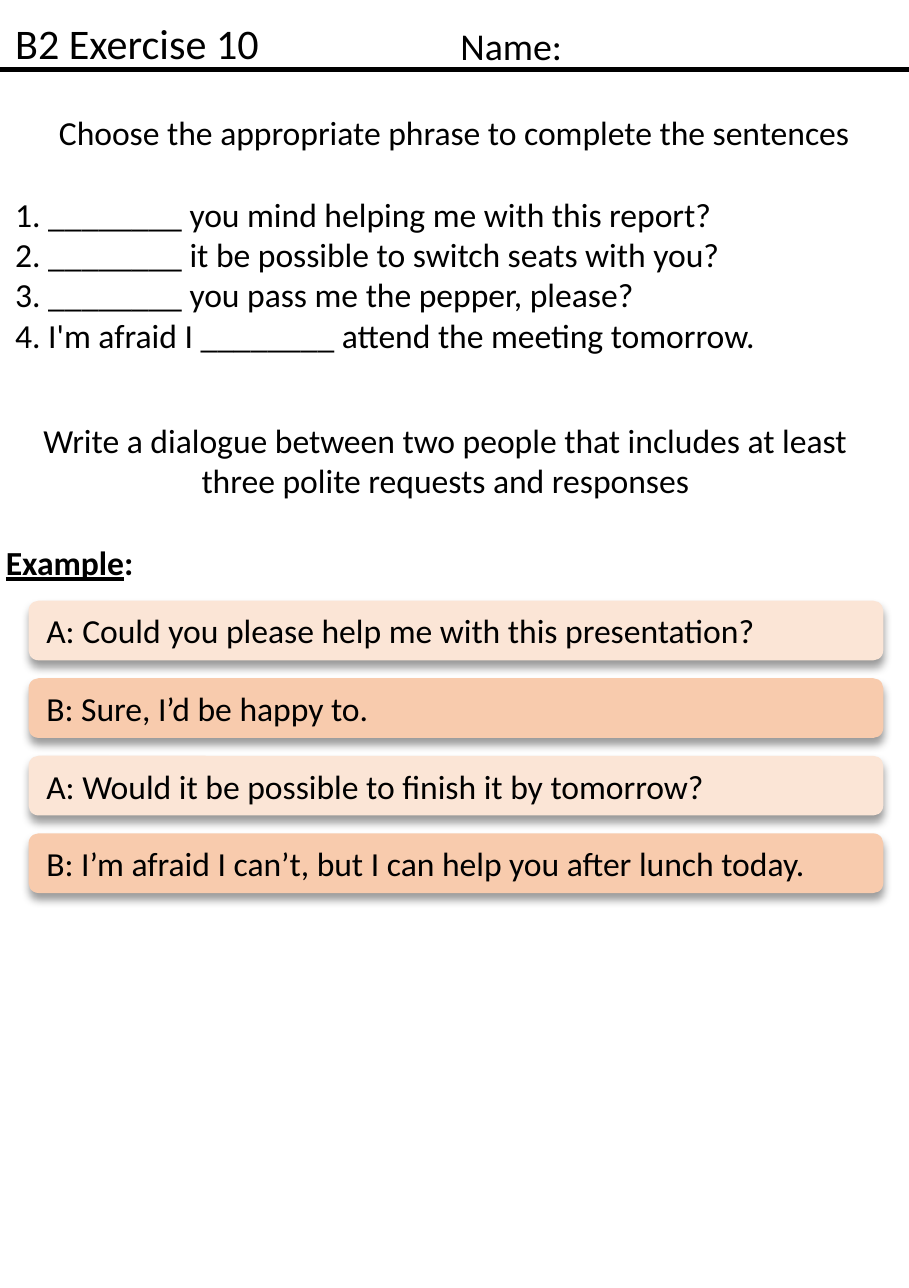
from lxml import etree
from pptx import Presentation
from pptx.dml.color import RGBColor
from pptx.enum.shapes import MSO_CONNECTOR, MSO_SHAPE
from pptx.enum.text import MSO_ANCHOR, MSO_AUTO_SIZE, PP_ALIGN
from pptx.oxml import parse_xml
from pptx.oxml.ns import nsdecls, qn
from pptx.util import Cm, Pt

LEFT, CENTER = PP_ALIGN.LEFT, PP_ALIGN.CENTER
TOP, MIDDLE = MSO_ANCHOR.TOP, MSO_ANCHOR.MIDDLE
NO_FIT = MSO_AUTO_SIZE.NONE
STRAIGHT, ROUNDED = MSO_CONNECTOR.STRAIGHT, MSO_SHAPE.ROUNDED_RECTANGLE

BLACK, PALE, PEACH = "000000", "FBE5D6", "F8CBAD"
PAGE_WIDTH, PAGE_HEIGHT = 15.24, 21.59
LINE_GAP = Pt(19.5)  # one line of 16 pt text

QUESTIONS = [
    "1. ________ you mind helping me with this report?",
    "2. ________ it be possible to switch seats with you?",
    "3. ________ you pass me the pepper, please?",
    "4. I'm afraid I ________ attend the meeting tomorrow.",
]
DIALOGUE = [
    "A: Could you please help me with this presentation?",
    "B: Sure, I’d be happy to.",
    "A: Would it be possible to finish it by tomorrow?",
    "B: I’m afraid I can’t, but I can help you after lunch today.",
]


def color(hex_text):
    return RGBColor.from_string(hex_text)


def apply(target, values):
    for name, value in values.items():
        setattr(target, name, value)


class Worksheet:
    """Holds the text style and the current page."""

    font = "Calibri"
    size = 16

    def __init__(self, deck):
        self.page = deck.slides.add_slide(deck.slide_layouts[1])

    def place(self, box, left, top, width, height):
        apply(box, {"left": Cm(left), "top": Cm(top),
                    "width": Cm(width), "height": Cm(height)})

    def frame(self, box, anchor, **values):
        apply(box.text_frame, {"word_wrap": True, "auto_size": NO_FIT,
                               "vertical_anchor": anchor, **values})

    def paragraph(self, box, spans, first=False, size=None, **values):
        """Write one paragraph; spans are pairs of text and font values."""
        text = box.text_frame
        para = text.paragraphs[0] if first else text.add_paragraph()
        apply(para, {"alignment": LEFT, "space_before": Pt(0), **values})
        for words, style in spans:
            span = para.add_run()
            span.text = words
            apply(span.font, {"name": self.font, "size": Pt(size or self.size), **style})
            span.font.color.rgb = color(BLACK)
        return para

    def title(self, words, size, *area):
        box = self.page.shapes.title
        self.place(box, *area)
        self.frame(box, MIDDLE)
        self.paragraph(box, [(words, {})], first=True, size=size)

    def exercise(self, heading, items, *area):
        """Fill the body placeholder with a heading and unbulleted lines."""
        box = self.page.placeholders[1]
        self.place(box, *area)
        self.frame(box, TOP)
        paras = [self.paragraph(box, [(heading, {})], first=True,
                                alignment=CENTER, space_after=LINE_GAP)]
        paras += [self.paragraph(box, [(item, {})]) for item in items]
        for para in paras:
            layout = para._p.get_or_add_pPr()
            layout.set("marL", "0")
            layout.set("indent", "0")
            etree.SubElement(layout, qn("a:buNone"))

    def text_box(self, *area, **values):
        box = self.page.shapes.add_textbox(*map(Cm, area))
        self.frame(box, TOP, **values)
        return box

    def rule(self, top, weight):
        line = self.page.shapes.add_connector(
            STRAIGHT, 0, Cm(top), Cm(PAGE_WIDTH), Cm(top))
        line.line.width = Pt(weight)
        line.line.color.rgb = color(BLACK)
        etree.SubElement(line._element.spPr, qn("a:effectLst"))

    def speech(self, words, fill, *area):
        """Draw a rounded bar with a soft shadow below it."""
        bar = self.page.shapes.add_shape(ROUNDED, *map(Cm, area))
        bar.fill.solid()
        bar.fill.fore_color.rgb = color(fill)
        bar.line.fill.background()
        bar.shadow.inherit = False
        bar._element.spPr.find(qn("a:effectLst")).append(parse_xml(
            f'<a:outerShdw {nsdecls("a")} blurRad="{Pt(4)}" dist="{Pt(3)}" '
            f'dir="5400000" algn="t" rotWithShape="0"><a:srgbClr val="{BLACK}">'
            '<a:alpha val="40000"/></a:srgbClr></a:outerShdw>'))
        self.frame(bar, MIDDLE)
        self.paragraph(bar, [(words, {})], first=True)


def main():
    deck = Presentation()
    deck.slide_width, deck.slide_height = Cm(PAGE_WIDTH), Cm(PAGE_HEIGHT)
    sheet = Worksheet(deck)

    # First exercise
    sheet.exercise("Choose the appropriate phrase to complete the sentences",
                   QUESTIONS, 0, 1.75, PAGE_WIDTH, 4.95)

    # Header
    sheet.title("B2 Exercise 10", 20, 0, 0, PAGE_WIDTH, 1.42)
    name = sheet.text_box(7.47, 0.25, 7.62, 1.02)
    sheet.paragraph(name, [("Name:", {})], first=True, size=18)
    sheet.rule(1.17, 2.25)

    # Second exercise
    task = sheet.text_box(-0.15, 5.11, PAGE_WIDTH, 5.87, margin_top=Cm(1.93))
    sheet.paragraph(task, [("Write a dialogue between two people that includes at least "
                            "three polite requests and responses", {})],
                    first=True, alignment=CENTER, space_after=LINE_GAP)
    sheet.paragraph(task, [("Example", {"bold": True, "underline": True}),
                           (":", {"bold": True})])

    # Example dialogue, speakers in alternating colours
    for row, words in enumerate(DIALOGUE):
        sheet.speech(words, (PALE, PEACH)[row % 2], 0.48, 10.07 + 1.3 * row, 14.33, 1)

    deck.save("out.pptx")


if __name__ == "__main__":
    main()
